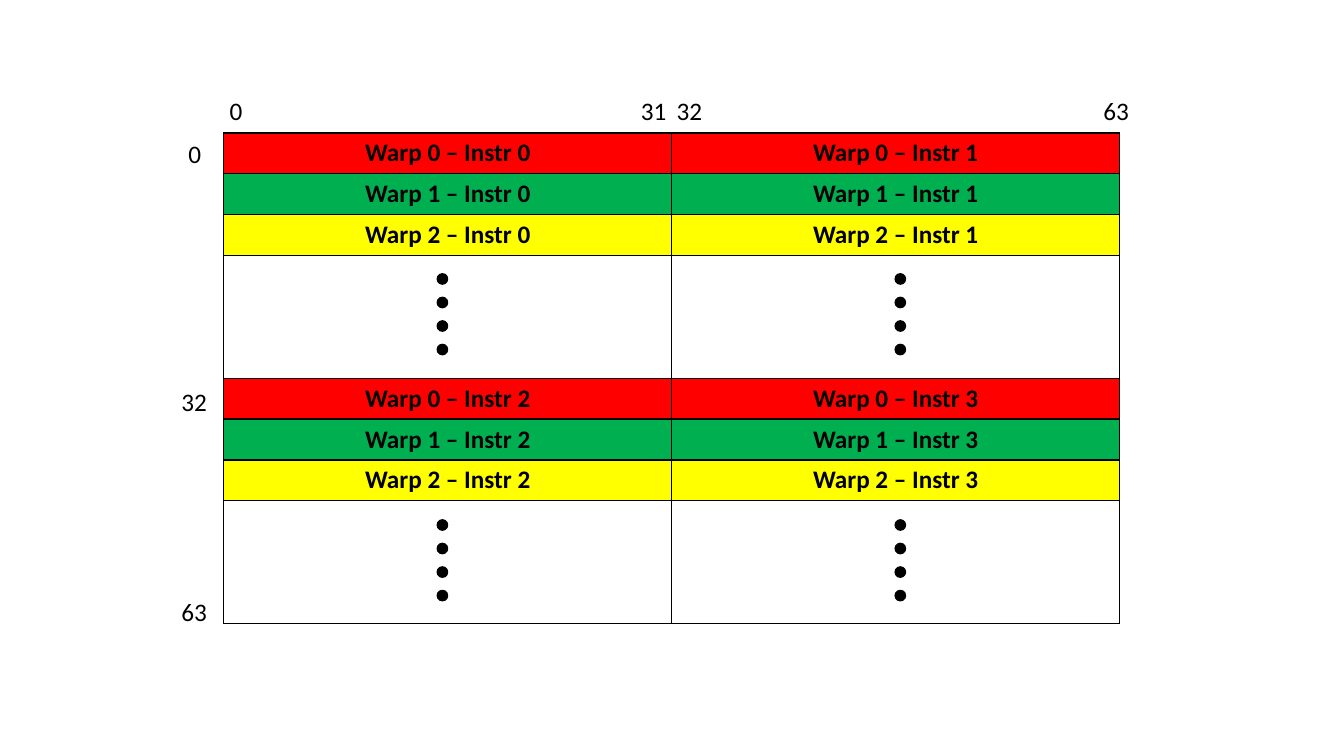
import pptx
import pptx.util
import pptx.dml.color
import pptx.enum.shapes
import pptx.enum.text
import pptx.oxml.ns
from lxml import etree

Cm, Pt = pptx.util.Cm, pptx.util.Pt
SHAPE = pptx.enum.shapes.MSO_SHAPE


def color(hex_code):
    return pptx.dml.color.RGBColor.from_string(hex_code)


class Deck:
    font, size = "Calibri", 18
    black, white = "000000", "FFFFFF"

    def __init__(self, width, height):
        self.prs = pptx.Presentation()
        self.prs.slide_width, self.prs.slide_height = Cm(width), Cm(height)
        self.s = self.prs.slides.add_slide(self.prs.slide_layouts[6])

    def style(self, p, bold=False):
        p.font.name, p.font.size, p.font.bold = self.font, Pt(self.size), bold
        p.font.color.rgb = color(self.black)

    def shape(self, parent, kind, x, y, w, h, fill):
        sp = parent.add_shape(kind, Cm(x), Cm(y), Cm(w), Cm(h))
        sp.shadow.inherit = False
        sp.fill.solid()
        sp.fill.fore_color.rgb = color(fill)
        sp.line.color.rgb = color(fill)
        sp.line.width = Pt(1)

    def label(self, text, x, y, w):
        tf = self.s.shapes.add_textbox(Cm(x), Cm(y), Cm(w), Cm(1.02)).text_frame
        tf.word_wrap = True
        p = tf.paragraphs[0]
        p.text = text
        self.style(p)

    def dots(self, x, y, count=4, pitch=0.593, size=0.26):
        group = self.s.shapes.add_group_shape()
        for i in range(count):
            self.shape(group.shapes, SHAPE.OVAL, x, y + i * pitch, size, size, self.black)

    def borders(self, cell):
        tc_pr = cell._tc.get_or_add_tcPr()
        qn = pptx.oxml.ns.qn
        for side in ("a:lnL", "a:lnR", "a:lnT", "a:lnB"):
            ln = etree.SubElement(tc_pr, qn(side), w=str(Pt(1)))
            fill = etree.SubElement(ln, qn("a:solidFill"))
            etree.SubElement(fill, qn("a:srgbClr"), val=self.black)

    def table(self, x, y, col_width, heights, rows):
        """Each row is a pair: fill colour and list of cell texts."""
        cols = len(rows[0][1])
        frame = self.s.shapes.add_table(len(rows), cols, Cm(x), Cm(y),
                                        Cm(cols * col_width), Cm(sum(heights)))
        table = frame.table
        table.first_row = table.horz_banding = False
        for col in table.columns:
            col.width = Cm(col_width)
        for r, (fill, texts) in enumerate(rows):
            table.rows[r].height = Cm(heights[r])
            for c, text in enumerate(texts):
                cell = table.cell(r, c)
                self.borders(cell)
                cell.fill.solid()
                cell.fill.fore_color.rgb = color(fill)
                p = cell.text_frame.paragraphs[0]
                p.text = text
                p.alignment = pptx.enum.text.PP_ALIGN.CENTER
                self.style(p, bold=True)


def main():
    deck = Deck(33.87, 19.05)

    # White panel behind the matrix
    deck.shape(deck.s.shapes, SHAPE.RECTANGLE, 3.15, 1.4, 27.56, 15.9, deck.white)

    # Matrix: two bands of warps, two instructions per band
    warp_fills = ("FF0000", "00B050", "FFFF00")
    rows = []
    for first in (0, 2):
        for warp, fill in enumerate(warp_fills):
            rows.append((fill, [f"Warp {warp} – Instr {first + i}" for i in range(2)]))
        rows.append((deck.white, ["", ""]))
    deck.table(5.64, 3.35, 11.29, [1.03, 1.03, 1.03, 3.09] * 2, rows)

    # Dots for the warps left out
    for y in (6.9, 13.1):
        for x in (11.02, 22.56):
            deck.dots(x, y)

    # Column indices
    for text, x, w in (("0", 5.54, 0.76), ("31", 15.9, 1.35),
                       ("32", 16.8, 1.35), ("63", 27.56, 1.35)):
        deck.label(text, x, 2.27, w)

    # Row indices
    for text, x, y, w in (("0", 4.5, 3.35, 0.76), ("32", 4.32, 9.6, 1.35),
                          ("63", 4.32, 14.9, 1.35)):
        deck.label(text, x, y, w)

    deck.prs.save("out.pptx")


if __name__ == "__main__":
    main()
